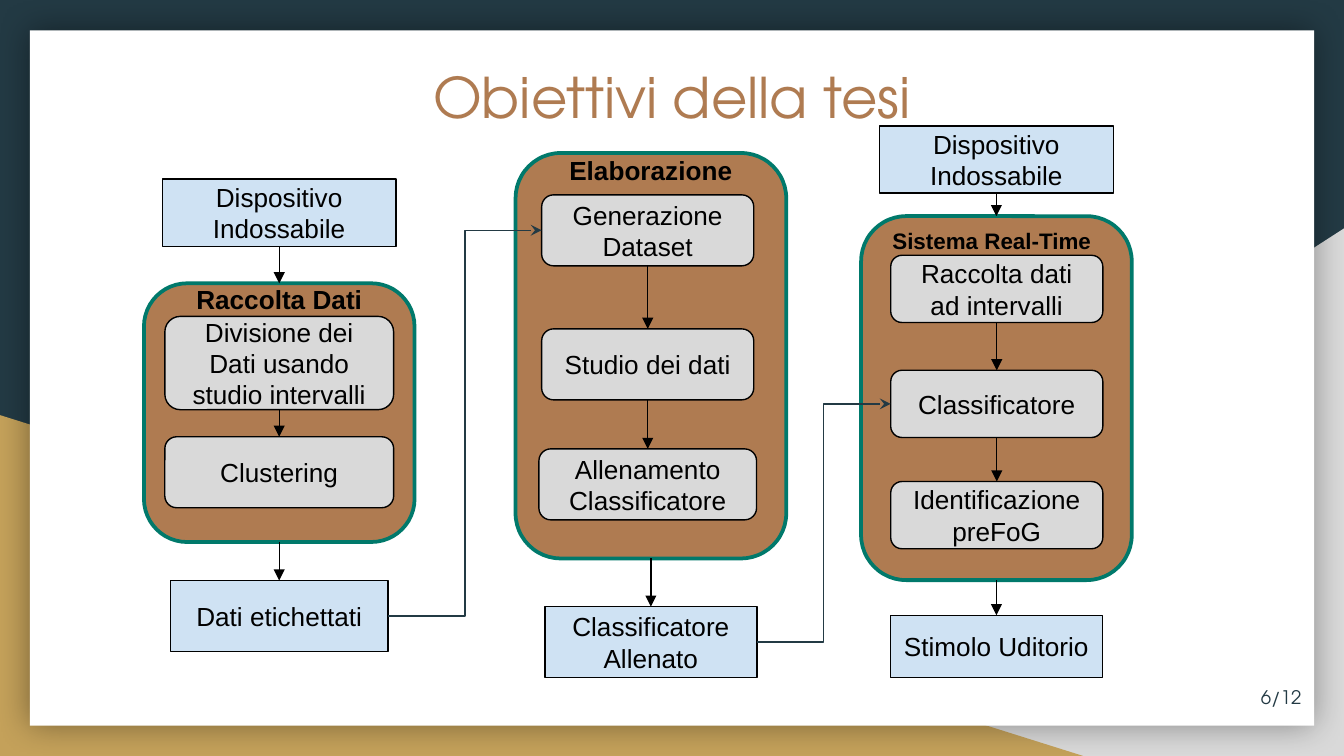
from dataclasses import dataclass
from itertools import pairwise

from lxml.etree import SubElement
from pptx import Presentation
from pptx.dml.color import RGBColor
from pptx.enum.shapes import MSO_CONNECTOR as CONNECTOR, MSO_SHAPE as SHAPE
from pptx.enum.text import MSO_ANCHOR as ANCHOR, PP_ALIGN as ALIGN
from pptx.oxml.ns import qn
from pptx.util import Pt


@dataclass(frozen=True)
class Theme:
    navy: str = "233A44"
    gold: str = "C4A15A"
    grey: str = "D9D9D9"
    white: str = "FFFFFF"
    black: str = "000000"
    brown: str = "AF7B51"
    green: str = "00796B"
    blue: str = "CFE2F3"
    body_font: str = "Arial"
    title_font: str = "TeX Gyre Adventor"
    title_size: int = 30
    body_size: int = 14
    small_size: int = 12
    number_size: int = 10
    thin: float = 0.75
    thick: float = 2
    inset: float = 7.2


THEME = Theme()
TITLE = "Obiettivi della tesi"
PAGE_NUMBER = "6/12"
GROUP_WIDTH = 145
TOP, LEFT, BOTTOM, RIGHT = range(4)

# Boxes are (text, top, width, height); headings are (text, top, width, size, alignment).
# Boxes are centred on "centre", steps on "step_centre"; "group" is (top, height).
COLUMNS = [
    {
        "centre": 149.6, "step_centre": 149.6, "group": (151.8, 138.6),
        "heading": ("Raccolta Dati", 144.7, 116.6, THEME.body_size, ALIGN.CENTER),
        "input": ("Dispositivo Indossabile", 96, 125.3, 36),
        "steps": [
            ("Divisione dei Dati usando studio intervalli", 169.5, 122.6, 50),
            ("Clustering", 234, 122.6, 38),
        ],
        "output": ("Dati etichettati", 311, 116.6, 38),
    },
    {
        "centre": 348.7, "step_centre": 347, "group": (82, 217.2),
        "heading": ("Elaborazione", 75.6, 110.9, THEME.body_size, ALIGN.CENTER),
        "input": None,
        "steps": [
            ("Generazione Dataset", 104.4, 113.6, 38),
            ("Studio dei dati", 176.2, 113.6, 38),
            ("Allenamento Classificatore", 240.5, 116.6, 38),
        ],
        "output": ("Classificatore Allenato", 325, 113.6, 38),
    },
    {
        "centre": 533.8, "step_centre": 534, "group": (115.8, 195),
        "heading": ("Sistema Real-Time", 114.5, 129.6, THEME.small_size, ALIGN.LEFT),
        "input": ("Dispositivo Indossabile", 67.5, 125.3, 36),
        "steps": [
            ("Raccolta dati ad intervalli", 136.8, 113.6, 36),
            ("Classificatore", 198.4, 113.6, 36),
            ("Identificazione preFoG", 258, 113.6, 36),
        ],
        "output": ("Stimolo Uditorio", 329.6, 113.6, 33.4),
    },
]
# (column of the output, column and index of the step it feeds)
LINKS = [(0, 1, 0), (1, 2, 1)]


def colour(value):
    return RGBColor.from_string(value)


def write(shape, text, size, ink=THEME.black, font=THEME.body_font,
          align=ALIGN.CENTER, anchor=ANCHOR.MIDDLE, bold=False):
    frame = shape.text_frame
    frame.word_wrap = True
    frame.vertical_anchor = anchor
    frame.margin_left = frame.margin_right = Pt(THEME.inset)
    frame.margin_top = frame.margin_bottom = Pt(THEME.inset)
    frame.text = text
    paragraph = frame.paragraphs[0]
    paragraph.alignment = align
    run_font = paragraph.runs[0].font
    run_font.name, run_font.size, run_font.bold = font, Pt(size), bold
    run_font.color.rgb = colour(ink)


def add_label(slide, bounds, text, size, **style):
    write(slide.shapes.add_textbox(*map(Pt, bounds)), text, size, **style)


def add_block(slide, kind, bounds, fill, line=None, width=THEME.thin):
    shape = slide.shapes.add_shape(kind, *map(Pt, bounds))
    shape.shadow.inherit = False
    shape.fill.solid()
    shape.fill.fore_color.rgb = colour(fill)
    if line:
        shape.line.color.rgb = colour(line)
        shape.line.width = Pt(width)
    else:
        shape.line.fill.background()
    return shape


def add_box(slide, kind, centre, box, fill):
    text, top, width, height = box
    shape = add_block(slide, kind, (centre - width / 2, top, width, height), fill, THEME.black)
    write(shape, text, THEME.body_size)
    return shape


def add_arrow(slide, start, end, kind=CONNECTOR.STRAIGHT, sites=(BOTTOM, TOP),
              ink=THEME.black, head="triangle"):
    arrow = slide.shapes.add_connector(kind, 0, 0, 0, 0)
    arrow.begin_connect(start, sites[0])
    arrow.end_connect(end, sites[1])
    arrow.line.color.rgb = colour(ink)
    arrow.line.width = Pt(THEME.thin)
    SubElement(arrow.line._get_or_add_ln(), qn("a:tailEnd"), type=head)
    SubElement(arrow.element.spPr, qn("a:effectLst"))


def add_backdrop(slide):
    slide.background.fill.solid()
    slide.background.fill.fore_color.rgb = colour(THEME.navy)
    corner = add_block(slide, SHAPE.RIGHT_TRIANGLE, (282.2, 122.4, 437.8, 282.6), THEME.grey)
    corner.element.spPr.find(qn("a:xfrm")).set("flipH", "1")
    add_block(slide, SHAPE.RIGHT_TRIANGLE, (0, 222.4, 580.3, 182.6), THEME.gold)
    sheet = add_block(slide, SHAPE.RECTANGLE, (16, 16.2, 688, 372.6), THEME.white)
    effects = sheet.element.spPr.find(qn("a:effectLst"))
    shadow = SubElement(effects, qn("a:outerShdw"), blurRad=str(Pt(18)), dist="0",
                        dir="0", algn="ctr", rotWithShape="0")
    tint = SubElement(shadow, qn("a:srgbClr"), val=THEME.black)
    SubElement(tint, qn("a:alpha"), val="40000")


def add_column(slide, column):
    """Draw one column and return its step shapes and its output shape."""
    centre = column["centre"]
    top, height = column["group"]
    group = add_block(slide, SHAPE.ROUNDED_RECTANGLE,
                      (centre - GROUP_WIDTH / 2, top, GROUP_WIDTH, height),
                      THEME.brown, THEME.green, THEME.thick)
    steps = [add_box(slide, SHAPE.ROUNDED_RECTANGLE, column["step_centre"], step, THEME.grey)
             for step in column["steps"]]
    output = add_box(slide, SHAPE.RECTANGLE, centre, column["output"], THEME.blue)
    arrows = [*pairwise(steps), (group, output)]
    if column["input"]:
        source = add_box(slide, SHAPE.RECTANGLE, centre, column["input"], THEME.blue)
        arrows.append((source, group))
    for start, end in arrows:
        add_arrow(slide, start, end)
    text, top, width, size, align = column["heading"]
    left = centre - width / 2 + (2 if align == ALIGN.LEFT else 0)
    add_label(slide, (left, top, width, 18), text, size,
              align=align, anchor=ANCHOR.TOP, bold=True)
    return steps, output


def main():
    presentation = Presentation()
    presentation.slide_width, presentation.slide_height = Pt(720), Pt(405)
    slide = presentation.slides.add_slide(presentation.slide_layouts[6])
    add_backdrop(slide)
    add_label(slide, (64.5, 26.6, 591, 75), TITLE, THEME.title_size,
              ink=THEME.brown, font=THEME.title_font, anchor=ANCHOR.TOP)
    add_label(slide, (661, 358, 43.2, 31), PAGE_NUMBER, THEME.number_size,
              ink=THEME.navy, font=THEME.title_font, align=ALIGN.RIGHT)
    drawn = [add_column(slide, column) for column in COLUMNS]
    for origin, target, index in LINKS:
        add_arrow(slide, drawn[origin][1], drawn[target][0][index], CONNECTOR.ELBOW,
                  (RIGHT, LEFT), THEME.navy, "stealth")
    presentation.save("out.pptx")


if __name__ == "__main__":
    main()
